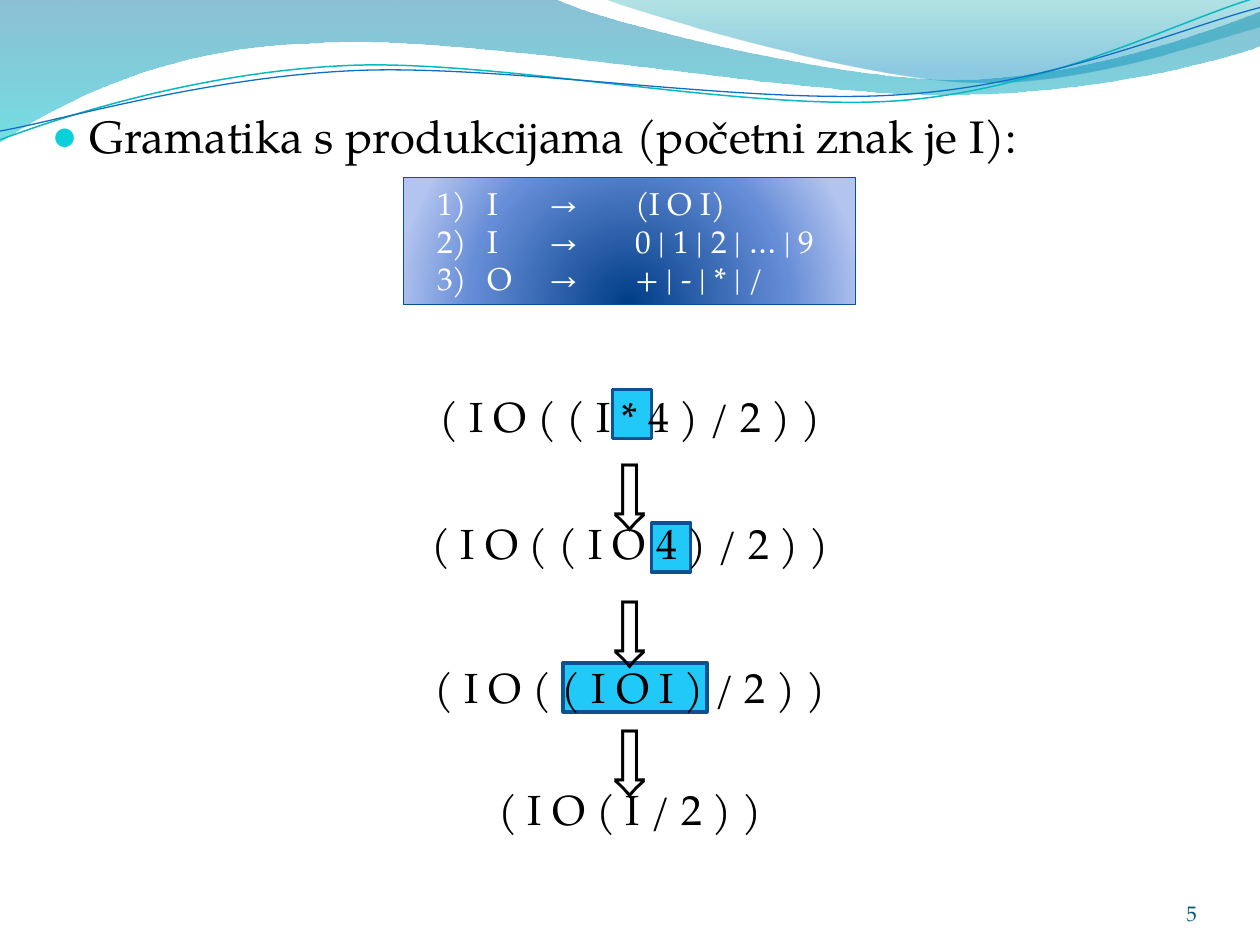
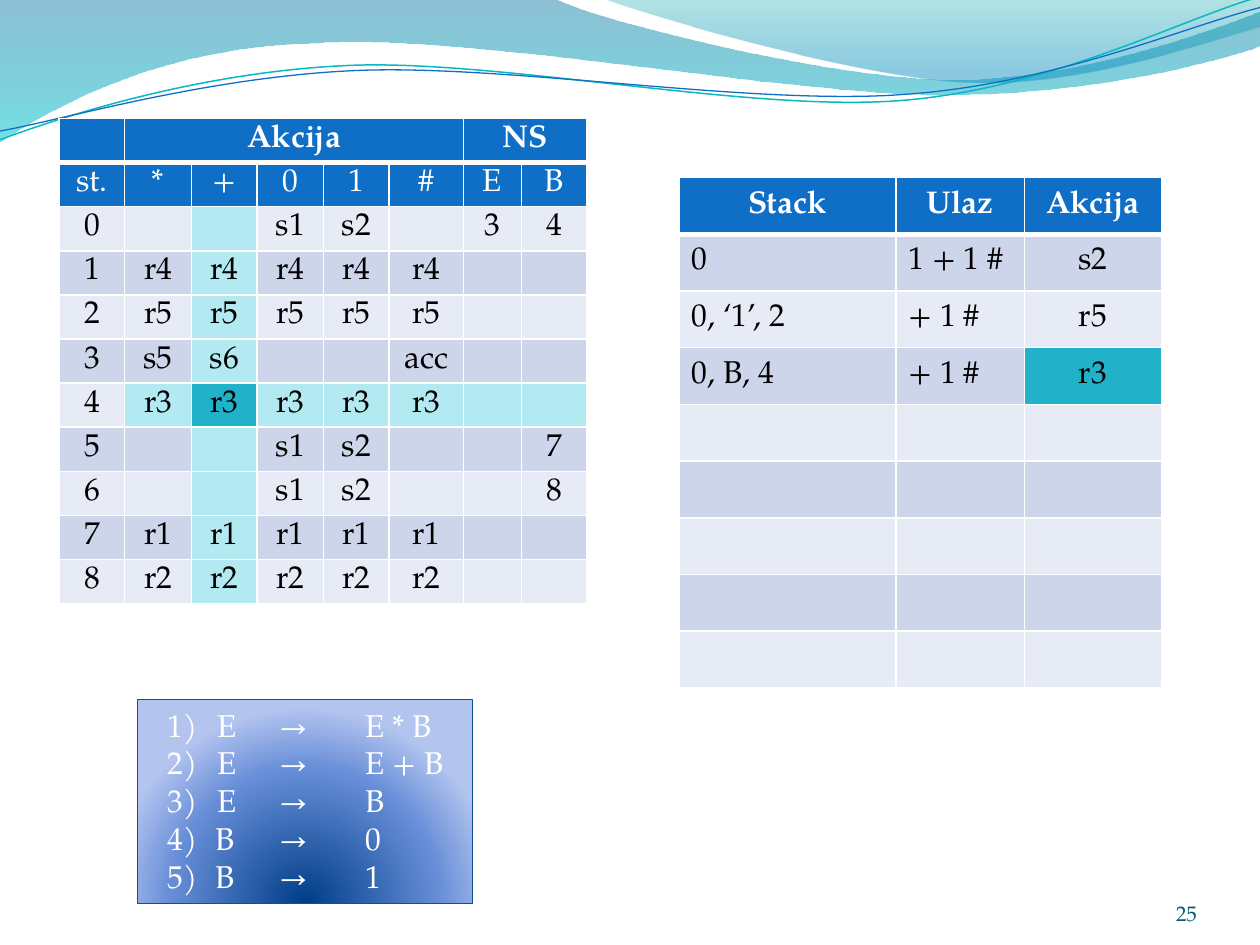
from dataclasses import dataclass, field
from typing import Optional

from pptx import Presentation
from pptx.dml.color import RGBColor
from pptx.enum.shapes import MSO_SHAPE as Preset
from pptx.enum.text import MSO_ANCHOR as Anchor, PP_ALIGN as Align
from pptx.oxml import parse_xml
from pptx.oxml.ns import nsdecls, qn
from pptx.util import Inches, Pt

Point = tuple[float, float]
Stop = tuple[int, str, int]


@dataclass(frozen=True)
class Theme:
    font: str = "TeX Gyre Pagella"
    black: str = "000000"
    white: str = "FFFFFF"
    number: str = "045D75"
    bullet: str = "0BD0D9"
    header: str = "0F6FC6"
    light_band: str = "E7EBF5"
    dark_band: str = "CCD5EA"
    trace: str = "B3EAF2"
    current: str = "21B2C9"
    highlight: str = "20C9F8"
    highlight_line: str = "0B5292"
    rules_line: str = "095295"
    body_size: int = 26
    expression_size: int = 24
    arrow_size: int = 44
    text_size: int = 18
    number_size: int = 12


THEME = Theme()
LINEAR = '<a:lin ang="5400000" scaled="1"/>'
RADIAL = ('<a:path path="circle"><a:fillToRect l="50000" t="130000" '
          'r="50000" b="-30000"/></a:path>')
RULES_STOPS = [(0, "003D87", 100), (68, "668DD7", 100), (100, "B3C4EF", 100)]


@dataclass
class Wave:
    start: Point
    segments: list[tuple[Point, ...]]
    stops: list[Stop] = field(default_factory=list)
    line: Optional[tuple[str, float]] = None


@dataclass
class Label:
    text: str
    left: float
    top: float
    width: float
    height: float
    size: int = THEME.expression_size
    color: str = THEME.black
    align: Align = Align.CENTER
    anchor: Anchor = Anchor.TOP
    inset: Optional[float] = None
    wrap: bool = True


@dataclass
class Rules:
    left: float
    top: float
    width: float
    height: float
    inset: float
    lines: list[str]
    numbered: list[str] = field(default_factory=list)


@dataclass
class Grid:
    left: float
    top: float
    widths: list[float]
    row_height: float
    rows: list[list[str]]
    header_rows: int = 1
    spans: list[tuple[int, int]] = field(default_factory=list)
    left_columns: tuple[int, ...] = ()
    fills: dict[tuple[int, int], str] = field(default_factory=dict)


WAVES = [
    Wave((0, 0), [((4.4, -0.01),),
                  ((4.76, 0.17), (6.64, 0.63), (7.58, 0.63)),
                  ((8.53, 0.63), (9.58, 0.26), (10, 0.09)),
                  ((10.01, 0.36),),
                  ((9.83, 0.44), (8.7, 0.76), (7.46, 0.75)),
                  ((6.22, 0.75), (3.82, 0.28), (2.57, 0.34)),
                  ((1.29, 0.36), (0.46, 0.83), (-0.01, 1.13))],
         stops=[(0, "0074A1", 45), (100, "00C6CF", 55)]),
    Wave((4.79, -0.01), [((5.09, 0.11), (6.82, 0.62), (7.69, 0.65)),
                         ((8.56, 0.69), (9.61, 0.32), (10, 0.21)),
                         ((10, 0),)],
         stops=[(0, "00A1A9", 30), (80, "008BBF", 45)]),
    Wave((0, 1.11), [((0.48, 0.93), (1.58, 0.57), (2.77, 0.52)),
                     ((3.95, 0.47), (5.93, 0.89), (7.13, 0.8)),
                     ((8.33, 0.71), (9.38, 0.15), (9.98, -0.02))],
         line=("0AB8BF", 0.85)),
    Wave((0, 1.04), [((0.47, 0.96), (1.64, 0.61), (2.83, 0.56)),
                     ((4.03, 0.51), (5.97, 0.84), (7.17, 0.75)),
                     ((8.36, 0.67), (9.41, 0.21), (10, 0.06))],
         line=("0F6FC6", 0.75)),
]
HIGHLIGHTS = [(4.47, 5.26, 1.14), (5.17, 4.15, 0.31), (4.86, 3.09, 0.31)]
EXPRESSIONS = [("( I O ( ( I * 4 ) / 2 ) )", 3.05), ("( I O ( ( I O 4 ) / 2 ) )", 4.06),
               ("( I O ( ( I O I ) / 2 ) )", 5.2), ("( I O ( I / 2 ) )", 6.17)]
ARROW_TOPS = [3.44, 4.53, 5.55]

EXPRESSION_RULES = Rules(3.2, 1.41, 3.59, 1.01, 0.27, [
    "1) \tI\t→\t(I O I)", "2) \tI\t→ \t0 | 1 | 2 | … | 9 ", "3) \tO\t→ \t+ | - | * | /"])
PARSER_RULES = Rules(1.09, 5.55, 2.66, 1.62, 0.24, [
    "1) \tE\t→\tE * B", "2) \tE\t→ \tE + B", "3) \tE\t→ \tB"], ["B\t→\t0", "B\t→\t1"])


def reduce_row(state: int, rule: str) -> list[str]:
    return [str(state)] + [rule] * 5 + ["", ""]


def shift_row(state: int, target: str) -> list[str]:
    return [str(state), "", "", "s1", "s2", "", "", target]


PARSER_TABLE = Grid(
    0.47, 0.94, [0.52, 0.53] * 2 + [0.52, 0.59, 0.46, 0.52], 0.35,
    [["", "Akcija", "", "", "", "", "NS", ""],
     ["st.", "*", "+", "0", "1", "#", "E", "B"],
     ["0", "", "", "s1", "s2", "", "3", "4"],
     reduce_row(1, "r4"),
     reduce_row(2, "r5"),
     ["3", "s5", "s6", "", "", "acc", "", ""],
     reduce_row(4, "r3"),
     shift_row(5, "7"),
     shift_row(6, "8"),
     reduce_row(7, "r1"),
     reduce_row(8, "r2")],
    header_rows=2, spans=[(1, 5), (6, 7)],
    fills={**{(row, 2): THEME.trace for row in range(2, 11)},
           **{(6, column): THEME.trace for column in range(1, 8)},
           (6, 2): THEME.current})
STACK_TABLE = Grid(
    5.39, 1.41, [1.72, 1.02, 1.09], 0.45,
    [["Stack", "Ulaz", "Akcija"], ["0", "1 + 1 #", "s2"],
     ["0, ‘1’, 2", "+ 1 #", "r5"], ["0, B, 4", "+ 1 #", "r3"]] + [[""] * 3] * 5,
    left_columns=(0, 1), fills={(3, 2): THEME.current})


def rgb(color: str) -> RGBColor:
    return RGBColor.from_string(color)


def format_paragraph(paragraph, size: int, color: str, align=Align.LEFT, bold=False) -> None:
    paragraph.alignment = align
    font = paragraph.font
    font.name, font.size, font.bold = THEME.font, Pt(size), bold
    font.color.rgb = rgb(color)


def add_properties(paragraph, *elements: str, indent: float = 0) -> None:
    properties = paragraph._p.get_or_add_pPr()
    if indent:
        properties.set("marL", str(Inches(indent)))
        properties.set("indent", str(Inches(-indent)))
    for element in elements:
        properties.append(parse_xml(element))


def set_gradient(shape, stops: list[Stop], direction: str) -> None:
    shape.fill.background()
    stop_xml = "".join(
        f'<a:gs pos="{position * 1000}"><a:srgbClr val="{color}">'
        f'<a:alpha val="{alpha * 1000}"/></a:srgbClr></a:gs>'
        for position, color, alpha in stops)
    gradient = parse_xml(f'<a:gradFill {nsdecls("a")} rotWithShape="1">'
                         f'<a:gsLst>{stop_xml}</a:gsLst>{direction}</a:gradFill>')
    properties = shape.element.spPr
    properties.replace(properties.find(qn("a:noFill")), gradient)


def set_line(shape, color: str, width: float) -> None:
    shape.line.color.rgb = rgb(color)
    shape.line.width = Pt(width)


def bend_segments(shape, segments: list[tuple[Point, ...]]) -> None:
    lines = iter(list(shape.element.spPr.iter(qn("a:lnTo"))))
    for segment in segments:
        group = [next(lines) for _ in segment]
        if len(group) == 3:
            curve = parse_xml(f'<a:cubicBezTo {nsdecls("a")}/>')
            group[0].addprevious(curve)
            for line in group:
                curve.append(line[0])
                line.getparent().remove(line)


def add_waves_to_master(presentation, slide) -> None:
    for number, wave in enumerate(WAVES):
        points = [(Inches(x), Inches(y)) for segment in wave.segments for x, y in segment]
        builder = slide.shapes.build_freeform(Inches(wave.start[0]), Inches(wave.start[1]))
        builder.add_line_segments(points, close=bool(wave.stops))
        shape = builder.convert_to_shape()
        bend_segments(shape, wave.segments)
        shape.shadow.inherit = False
        if wave.stops:
            set_gradient(shape, wave.stops, LINEAR)
            shape.line.fill.background()
        else:
            shape.fill.background()
            set_line(shape, *wave.line)
        shape.element.nvSpPr.cNvPr.set("id", str(100 + number))
        presentation.slide_master.shapes.element.append(shape.element)


def add_label(slide, label: Label) -> None:
    box = slide.shapes.add_textbox(Inches(label.left), Inches(label.top),
                                   Inches(label.width), Inches(label.height))
    frame = box.text_frame
    frame.word_wrap = label.wrap
    frame.vertical_anchor = label.anchor
    if label.inset is not None:
        frame.margin_left = frame.margin_right = Inches(label.inset)
        frame.margin_top = frame.margin_bottom = Inches(label.inset)
    frame.text = label.text
    format_paragraph(frame.paragraphs[0], label.size, label.color, label.align)


def add_slide_number(slide, number: int) -> None:
    add_label(slide, Label(str(number), 8.67, 6.95, 0.83, 0.4, THEME.number_size,
                           THEME.number, Align.RIGHT, Anchor.BOTTOM, inset=0))


def add_rectangle(slide, left: float, top: float, width: float, height: float):
    shape = slide.shapes.add_shape(Preset.RECTANGLE, Inches(left), Inches(top),
                                   Inches(width), Inches(height))
    shape.shadow.inherit = False
    return shape


def add_rules(slide, rules: Rules) -> None:
    shape = add_rectangle(slide, rules.left, rules.top, rules.width, rules.height)
    set_gradient(shape, RULES_STOPS, RADIAL)
    set_line(shape, THEME.rules_line, 0.75)
    frame = shape.text_frame
    frame.word_wrap = True
    frame.vertical_anchor = Anchor.TOP
    frame.margin_left = Inches(rules.inset)
    frame.text = "\n".join(["\v".join(rules.lines)] + rules.numbered)
    stops = "".join(f'<a:tab pos="{Inches(stop)}" algn="l"/>' for stop in (0.4, 0.89, 1.57))
    tabs = f'<a:tabLst {nsdecls("a")}>{stops}</a:tabLst>'
    numbering = (f'<a:buAutoNum {nsdecls("a")} type="arabicParenR" '
                 f'startAt="{len(rules.lines) + 1}"/>')
    for index, paragraph in enumerate(frame.paragraphs):
        if index:
            add_properties(paragraph, numbering, tabs, indent=0.38)
        else:
            add_properties(paragraph, tabs)
        format_paragraph(paragraph, THEME.text_size, THEME.white)


def add_borders(cell, bottom: float) -> None:
    properties = cell._tc.get_or_add_tcPr()
    for side, width in (("L", 1), ("R", 1), ("T", 1), ("B", bottom)):
        properties.append(parse_xml(
            f'<a:ln{side} {nsdecls("a")} w="{Pt(width)}"><a:solidFill>'
            f'<a:srgbClr val="{THEME.white}"/></a:solidFill></a:ln{side}>'))


def add_grid(slide, grid: Grid) -> None:
    height = grid.row_height * len(grid.rows)
    table = slide.shapes.add_table(
        len(grid.rows), len(grid.widths), Inches(grid.left), Inches(grid.top),
        Inches(sum(grid.widths)), Inches(height)).table
    for column, width in zip(table.columns, grid.widths):
        column.width = Inches(width)
    for first, last in grid.spans:
        table.cell(0, first).merge(table.cell(0, last))
    for row, texts in enumerate(grid.rows):
        table.rows[row].height = Inches(grid.row_height)
        is_header = row < grid.header_rows
        band = THEME.dark_band if row % 2 else THEME.light_band
        for column, text in enumerate(texts):
            cell = table.cell(row, column)
            cell.margin_top = cell.margin_bottom = Inches(0.02)
            cell.vertical_anchor = Anchor.MIDDLE
            add_borders(cell, 3 if row == 0 else 1)
            cell.fill.solid()
            cell.fill.fore_color.rgb = rgb(
                THEME.header if is_header else grid.fills.get((row, column), band))
            cell.text = text
            is_left = column in grid.left_columns and not is_header
            format_paragraph(cell.text_frame.paragraphs[0], THEME.text_size,
                             THEME.white if is_header else THEME.black,
                             Align.LEFT if is_left else Align.CENTER, bold=row == 0)


def add_body(slide, text: str) -> None:
    body = slide.placeholders[1]
    body.left, body.top, body.width, body.height = map(Inches, (0.31, 0.81, 9.38, 6.38))
    body.text_frame.text = text
    paragraph = body.text_frame.paragraphs[0]
    paragraph.space_before = Pt(0)
    add_properties(
        paragraph,
        f'<a:buClr {nsdecls("a")}><a:srgbClr val="{THEME.bullet}"/></a:buClr>',
        f'<a:buSzPct {nsdecls("a")} val="95000"/>',
        f'<a:buChar {nsdecls("a")} char="●"/>', indent=0.3)
    format_paragraph(paragraph, THEME.body_size, THEME.black)


def build_derivation(slide) -> None:
    title = slide.shapes.title.element
    title.getparent().remove(title)
    for left, top, width in HIGHLIGHTS:
        shape = add_rectangle(slide, left, top, width, 0.39)
        shape.fill.solid()
        shape.fill.fore_color.rgb = rgb(THEME.highlight)
        set_line(shape, THEME.highlight_line, 2)
    add_body(slide, "Gramatika s produkcijama (početni znak je I):")
    add_slide_number(slide, 5)
    add_rules(slide, EXPRESSION_RULES)
    for text, top in EXPRESSIONS:
        add_label(slide, Label(text, 3.13, top, 3.74, 0.5))
    for top in ARROW_TOPS:
        add_label(slide, Label("⇩", 4.65, top, 0.7, 0.84, THEME.arrow_size, wrap=False))


def build_parser(slide) -> None:
    add_grid(slide, PARSER_TABLE)
    add_slide_number(slide, 25)
    add_rules(slide, PARSER_RULES)
    add_grid(slide, STACK_TABLE)


def main() -> None:
    presentation = Presentation()
    presentation.slide_width, presentation.slide_height = Inches(10), Inches(7.5)
    derivation = presentation.slides.add_slide(presentation.slide_layouts[1])
    add_waves_to_master(presentation, derivation)
    build_derivation(derivation)
    build_parser(presentation.slides.add_slide(presentation.slide_layouts[6]))
    presentation.save("out.pptx")


if __name__ == "__main__":
    main()
